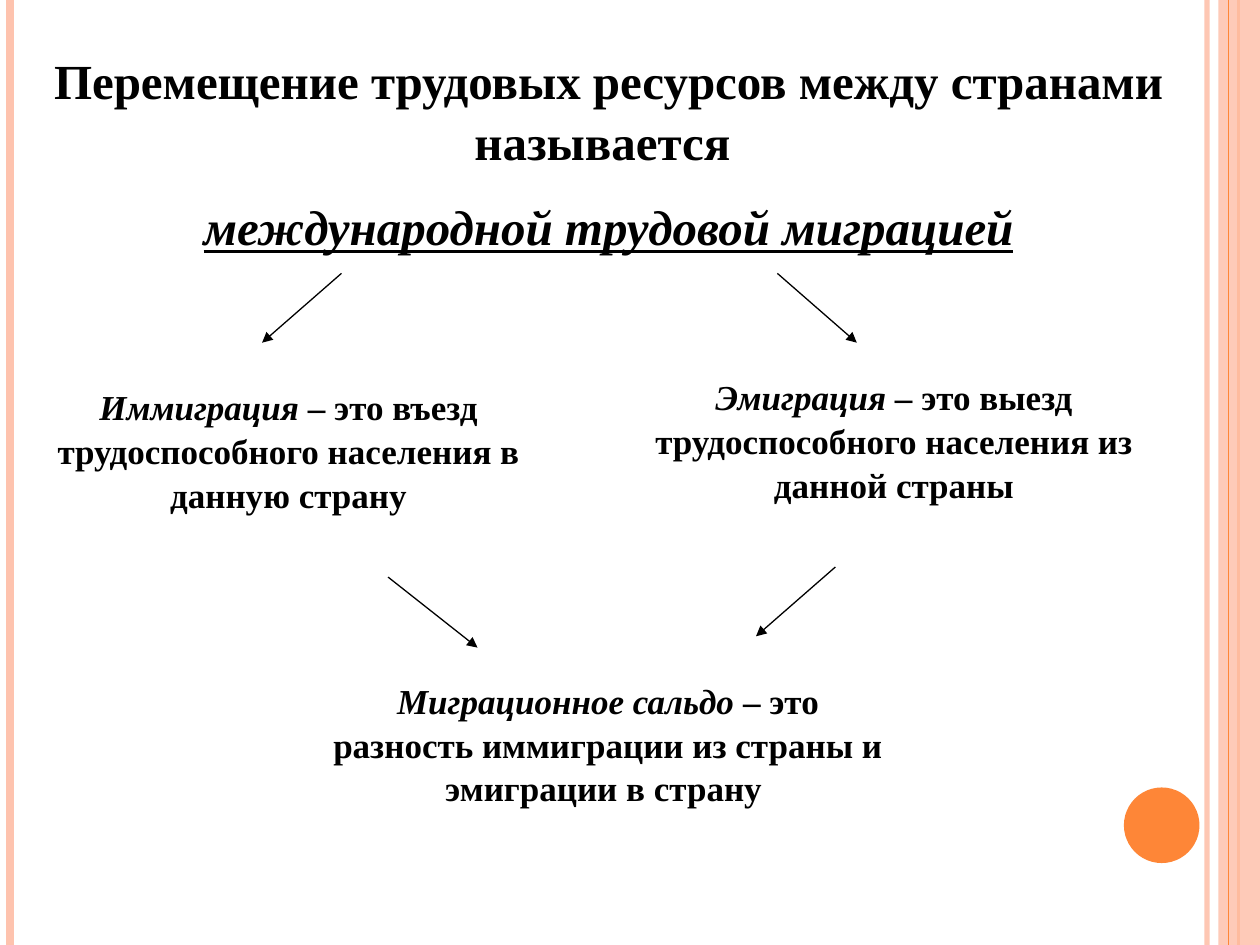
from lxml import etree
from pptx import Presentation
from pptx.dml.color import RGBColor
from pptx.enum.shapes import MSO_CONNECTOR, MSO_SHAPE
from pptx.enum.text import MSO_AUTO_SIZE, PP_ALIGN
from pptx.oxml.ns import qn
from pptx.util import Inches, Pt

BLACK = RGBColor(0x00, 0x00, 0x00)
ORANGE = RGBColor(0xFE, 0x86, 0x37)
PEACH = RGBColor(0xFE, 0xC3, 0xAE)
STRAIGHT = MSO_CONNECTOR.STRAIGHT
RECTANGLE, OVAL = MSO_SHAPE.RECTANGLE, MSO_SHAPE.OVAL
CENTER = PP_ALIGN.CENTER
FIT_SHAPE = MSO_AUTO_SIZE.SHAPE_TO_FIT_TEXT

presentation = Presentation()
presentation.slide_width, presentation.slide_height = Inches(10), Inches(7.5)
slide = presentation.slides.add_slide(presentation.slide_layouts[6])


def add_line(start, end, color, width):
    line = slide.shapes.add_connector(STRAIGHT, *map(Inches, start + end))
    line.line.color.rgb = color
    line.line.width = Pt(width)
    properties = line._element.spPr
    etree.SubElement(properties, qn("a:effectLst"))
    return properties


def set_opacity(properties, percent):
    color = next(properties.iter(qn("a:srgbClr")))
    etree.SubElement(color, qn("a:alpha"), val=str(percent * 1000))


# Side stripes and circle, from back to front
stripe = add_line((9.58, 0), (9.58, 7.5), PEACH, 3)
set_opacity(stripe, 93)
for x, color, width in [(0.08, PEACH, 4.5), (9.83, ORANGE, 1.5)]:
    add_line((x, 0), (x, 7.5), color, width)

for kind, box, color in [
    (RECTANGLE, (9.67, 0, 0.33, 7.5), PEACH),
    (OVAL, (8.92, 6.25, 0.6, 0.6), ORANGE),
]:
    shape = slide.shapes.add_shape(kind, *map(Inches, box))
    shape.shadow.inherit = False
    shape.fill.solid()
    shape.fill.fore_color.rgb = color
    shape.line.fill.background()
    if kind == RECTANGLE:
        set_opacity(shape._element.spPr, 87)
        add_line((9.75, 0), (9.75, 7.5), ORANGE, 0.75)

# Each text: box, size, paragraphs of (words, extra format) runs
TERM = {"italic": True}
KEY_TERM = {"italic": True, "underline": True}
texts = [
    ((0.33, 0.33, 9, 1.75), 28, [
        [("Перемещение трудовых ресурсов между странами называется ", {})],
        [("международной трудовой миграцией", KEY_TERM)],
    ]),
    ((0.33, 3, 3.92, 1.11), 20, [
        [("Иммиграция", TERM),
         (" – это въезд трудоспособного населения в данную страну", {})],
    ]),
    ((5, 2.92, 4.19, 1.11), 20, [
        [("Эмиграция", TERM),
         (" – это выезд трудоспособного населения из данной страны", {})],
    ]),
    ((2.5, 5.33, 4.65, 1.1), 20, [
        [("Миграционное сальдо", TERM),
         (" – это разность иммиграции из страны и эмиграции в страну ", {})],
    ]),
]
for box, size, paragraphs in texts:
    frame = slide.shapes.add_textbox(*map(Inches, box)).text_frame
    frame.word_wrap = True
    frame.auto_size = FIT_SHAPE
    for index, runs in enumerate(paragraphs):
        paragraph = frame.add_paragraph() if index else frame.paragraphs[0]
        paragraph.alignment = CENTER
        paragraph.line_spacing = 1.04
        paragraph.space_before = Pt(size / 2 if index else 0)
        for words, extra in runs:
            run = paragraph.add_run()
            run.text = words
            run.font.color.rgb = BLACK
            font_format = {"name": "Times New Roman", "size": Pt(size), "bold": True}
            for name, value in (font_format | extra).items():
                setattr(run.font, name, value)

# Arrows between the term and its parts
for start, end in [
    ((2.71, 2.17), (2.08, 2.72)),
    ((6.17, 2.17), (6.8, 2.72)),
    ((3.08, 4.58), (3.79, 5.14)),
    ((6.63, 4.5), (6, 5.05)),
]:
    arrow = add_line(start, end, BLACK, 0.75)
    etree.SubElement(arrow.find(qn("a:ln")), qn("a:tailEnd"), type="triangle")

presentation.save("out.pptx")
